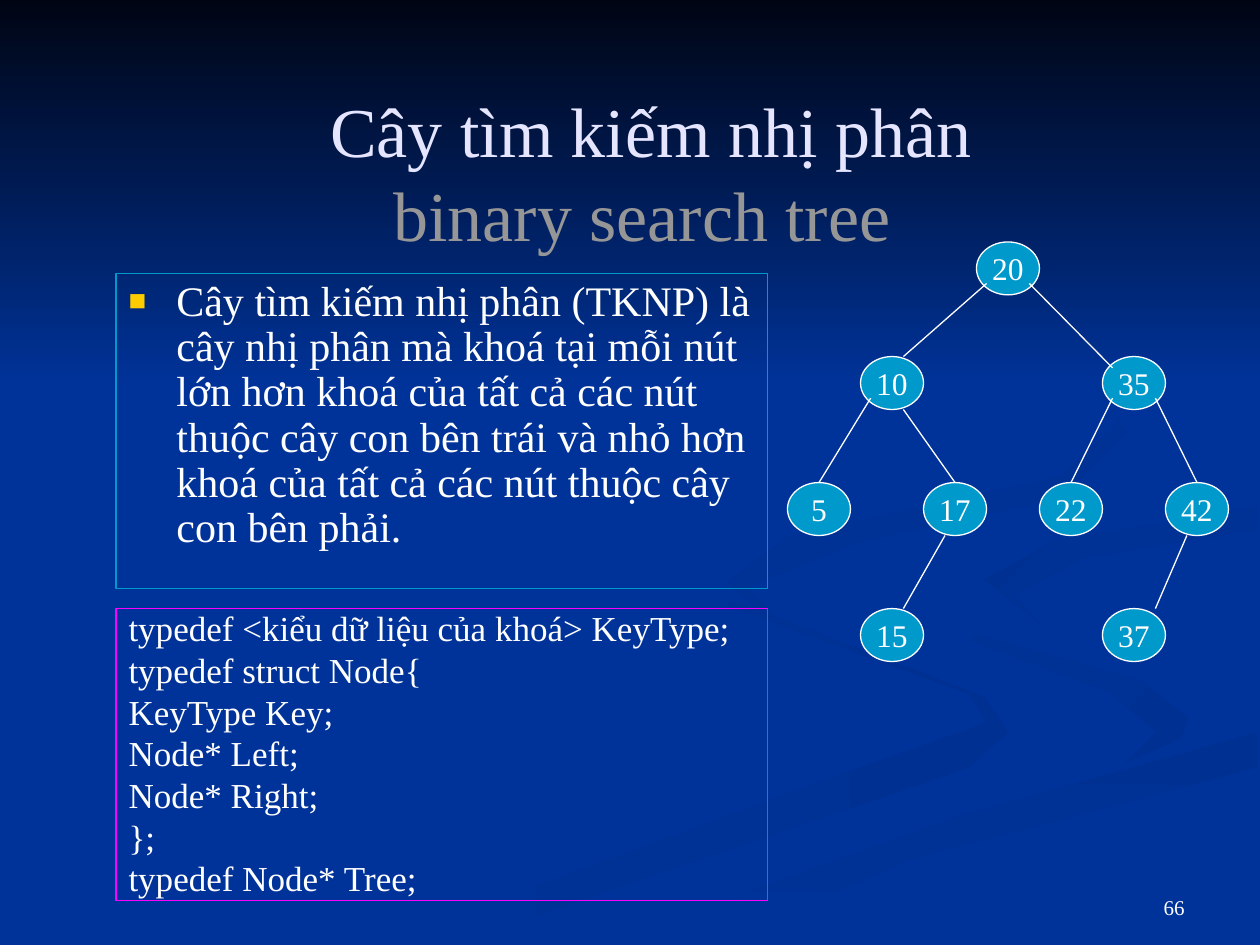
"""Build a slide that defines the binary search tree, with its code and an example tree."""
from lxml import etree
from pptx import Presentation
from pptx.dml.color import RGBColor
from pptx.enum.shapes import MSO_CONNECTOR, MSO_SHAPE
from pptx.enum.text import MSO_ANCHOR, MSO_AUTO_SIZE, PP_ALIGN
from pptx.oxml.ns import qn
from pptx.util import Inches, Pt

OVAL = MSO_SHAPE.OVAL
RECTANGLE = MSO_SHAPE.RECTANGLE
STRAIGHT = MSO_CONNECTOR.STRAIGHT
MIDDLE, BOTTOM = MSO_ANCHOR.MIDDLE, MSO_ANCHOR.BOTTOM
CENTER, RIGHT, LEFT = PP_ALIGN.CENTER, PP_ALIGN.RIGHT, PP_ALIGN.LEFT
NO_AUTOFIT = MSO_AUTO_SIZE.NONE

BLUE = RGBColor(0x00, 0x33, 0x99)
SHADE = RGBColor(0x00, 0x30, 0x91)
NIGHT = RGBColor(0x00, 0x05, 0x14)
CYAN = RGBColor(0x00, 0x99, 0xCC)
MAGENTA = RGBColor(0xFF, 0x00, 0xFF)
WHITE = RGBColor(0xFF, 0xFF, 0xFF)
LAVENDER = RGBColor(0xE5, 0xE5, 0xFF)
GRAY = RGBColor(0x96, 0x96, 0x96)
FONT = "Times New Roman"


def style_paragraph(paragraph, size, color, align):
    paragraph.alignment = align
    paragraph.font.name = FONT
    paragraph.font.size = Pt(size)
    paragraph.font.color.rgb = color


def fill_gradient(shape, start, end, clockwise):
    shape.fill.gradient()
    shape.fill.gradient_angle = (360 - clockwise) % 360
    for stop, color in zip(shape.fill.gradient_stops, (start, end)):
        stop.color.rgb = color
    shape.line.fill.background()
    shape.shadow.inherit = False


prs = Presentation()
prs.slide_width, prs.slide_height = Inches(10), Inches(7.5)
slide = prs.slides.add_slide(prs.slide_layouts[3])
shapes = slide.shapes
slide.background.fill.solid()
slide.background.fill.fore_color.rgb = BLUE

ribbons = [
    (BLUE, SHADE, 0, [(7.81, 5.53), (5.83, 4.77), (5.76, 4.8), (7.7, 5.51), (7.83, 5.74),
                      (6.52, 6.2), (3, 7.49), (3.61, 7.49), (7.69, 6.09), (8, 5.81)]),
    (BLUE, SHADE, 45, [(9.43, 5.7), (9.05, 5.4), (7.58, 4.98), (7.24, 4.64), (7.46, 5),
                       (8.8, 5.49), (9.18, 5.81), (8.94, 6.05), (9.37, 5.86)]),
    (SHADE, BLUE, 90, [(5.03, 7.49), (5.71, 7.49), (7.22, 6.82), (9.98, 6.09),
                       (9.98, 5.81), (7.64, 6.47), (5.99, 7.06)]),
    (SHADE, BLUE, 45, [(7.81, 4.6), (8.26, 4.96), (8.05, 4.72), (8.59, 4.43),
                       (9.98, 4.2), (9.98, 4.02), (8.35, 4.3)]),
    (SHADE, BLUE, 45, [(6.83, 4.3), (8.41, 3.96), (8.94, 3.44), (8.54, 2.83), (7.62, 2.33),
                       (8.62, 2.92), (8.89, 3.35), (8.42, 3.78), (6.25, 4.26), (5.77, 4.62),
                       (6.22, 5), (5.94, 4.65)]),
]
for start, end, angle, points in ribbons:
    corners = [(Inches(x), Inches(y)) for x, y in points]
    outline = shapes.build_freeform(*corners[0])
    outline.add_line_segments(corners[1:], close=True)
    fill_gradient(outline.convert_to_shape(), start, end, angle)

sky = shapes.add_shape(RECTANGLE, 0, 0, Inches(10), Inches(3.08))
fill_gradient(sky, NIGHT, BLUE, 90)

title, definition, code = slide.placeholders
for block, left, top, width, height in [
    (title, 0.83, 0.83, 8.67, 1.25),
    (definition, 0.92, 2.17, 5.17, 2.5),
    (code, 0.92, 4.83, 5.17, 2.32),
]:
    block.left, block.top = Inches(left), Inches(top)
    block.width, block.height = Inches(width), Inches(height)
    block.text_frame.auto_size = NO_AUTOFIT
    shapes._spTree.append(block._element)

title.text_frame.vertical_anchor = BOTTOM
heading = title.text_frame.paragraphs[0]
style_paragraph(heading, 40, LAVENDER, CENTER)
heading.add_run().text = "Cây tìm kiếm nhị phân"
heading.add_line_break()
english = heading.add_run()
english.text = "binary search tree "
english.font.color.rgb = GRAY

definition.text_frame.text = (
    "Cây tìm kiếm nhị phân (TKNP) là cây nhị phân mà khoá tại mỗi nút "
    "lớn hơn khoá của tất cả các nút thuộc cây con bên trái và nhỏ hơn "
    "khoá của tất cả các nút thuộc cây con bên phải."
)
code.text_frame.text = "\n".join([
    "typedef <kiểu dữ liệu của khoá> KeyType;",
    "typedef struct Node{",
    "KeyType Key;",
    "Node* Left;",
    "Node* Right;",
    "};",
    "typedef Node* Tree;",
])
for block, border, size, spacing in [(definition, CYAN, 24, 0.9), (code, MAGENTA, 20, 0.8)]:
    block.line.color.rgb = border
    block.line.width = Pt(0.75)
    for paragraph in block.text_frame.paragraphs:
        style_paragraph(paragraph, size, WHITE, LEFT)
        paragraph.line_spacing = spacing
        paragraph.space_before = Pt(size * 0.23)
        properties = paragraph._p.get_or_add_pPr()
        properties.set("marL", str(Inches(0.38)))
        properties.set("indent", str(-Inches(0.38)))
        bullet = [("buNone", {})]
        if block is definition:
            bullet = [("buClr", {}), ("buSzPct", {"val": "70000"}), ("buChar", {"char": "■"})]
        position = list(properties).index(properties.find(qn("a:defRPr")))
        for offset, (tag, attributes) in enumerate(bullet):
            element = etree.Element(qn("a:" + tag), attributes)
            properties.insert(position + offset, element)
            if tag == "buClr":
                etree.SubElement(element, qn("a:srgbClr"), val="FFCC00")

page = shapes.add_textbox(Inches(7.17), Inches(6.83), Inches(2.33), Inches(0.52))
page.text_frame.word_wrap = True
page.text_frame.vertical_anchor = BOTTOM
page.text_frame.text = "66"
style_paragraph(page.text_frame.paragraphs[0], 12, WHITE, RIGHT)

levels = [
    (1.92, {"20": 7.75}),
    (2.83, {"10": 6.83, "35": 8.75}),
    (3.83, {"5": 6.25, "17": 7.33, "22": 8.25, "42": 9.25}),
    (4.83, {"15": 6.83, "37": 8.75}),
]
nodes = {}
for top, keys in levels:
    for key, left in keys.items():
        node = shapes.add_shape(OVAL, Inches(left), Inches(top), Inches(0.5), Inches(0.42))
        node.fill.solid()
        node.fill.fore_color.rgb = CYAN
        node.line.color.rgb = WHITE
        node.line.width = Pt(0.75)
        node.shadow.inherit = False
        node.text_frame.word_wrap = False
        node.text_frame.vertical_anchor = MIDDLE
        node.text_frame.text = key
        style_paragraph(node.text_frame.paragraphs[0], 18, WHITE, CENTER)
        nodes[key] = node

INNER_LEFT, OUTER_LEFT, HALF, INNER_RIGHT, OUTER_RIGHT = map(Inches, (0.17, 0.08, 0.25, 0.34, 0.42))
for parent, leave, child, arrive in [
    ("20", OUTER_LEFT, "10", INNER_RIGHT),
    ("20", OUTER_RIGHT, "35", OUTER_LEFT),
    ("10", OUTER_LEFT, "5", HALF),
    ("10", INNER_RIGHT, "17", HALF),
    ("35", OUTER_LEFT, "22", HALF),
    ("35", OUTER_RIGHT, "42", HALF),
    ("17", INNER_LEFT, "15", INNER_RIGHT),
    ("42", INNER_LEFT, "37", OUTER_RIGHT),
]:
    upper, lower = nodes[parent], nodes[child]
    drop = Inches(0.33) if leave in (OUTER_LEFT, OUTER_RIGHT) else upper.height
    dip = Inches(0.09) if arrive == OUTER_LEFT else 0
    branch = shapes.add_connector(STRAIGHT, upper.left + leave, upper.top + drop,
                                  lower.left + arrive, lower.top + dip)
    branch.line.color.rgb = WHITE
    branch.line.width = Pt(0.75)
    etree.SubElement(branch._element.spPr, qn("a:effectLst"))
    if arrive == HALF:
        branch.end_connect(lower, 0)

prs.save("out.pptx")
